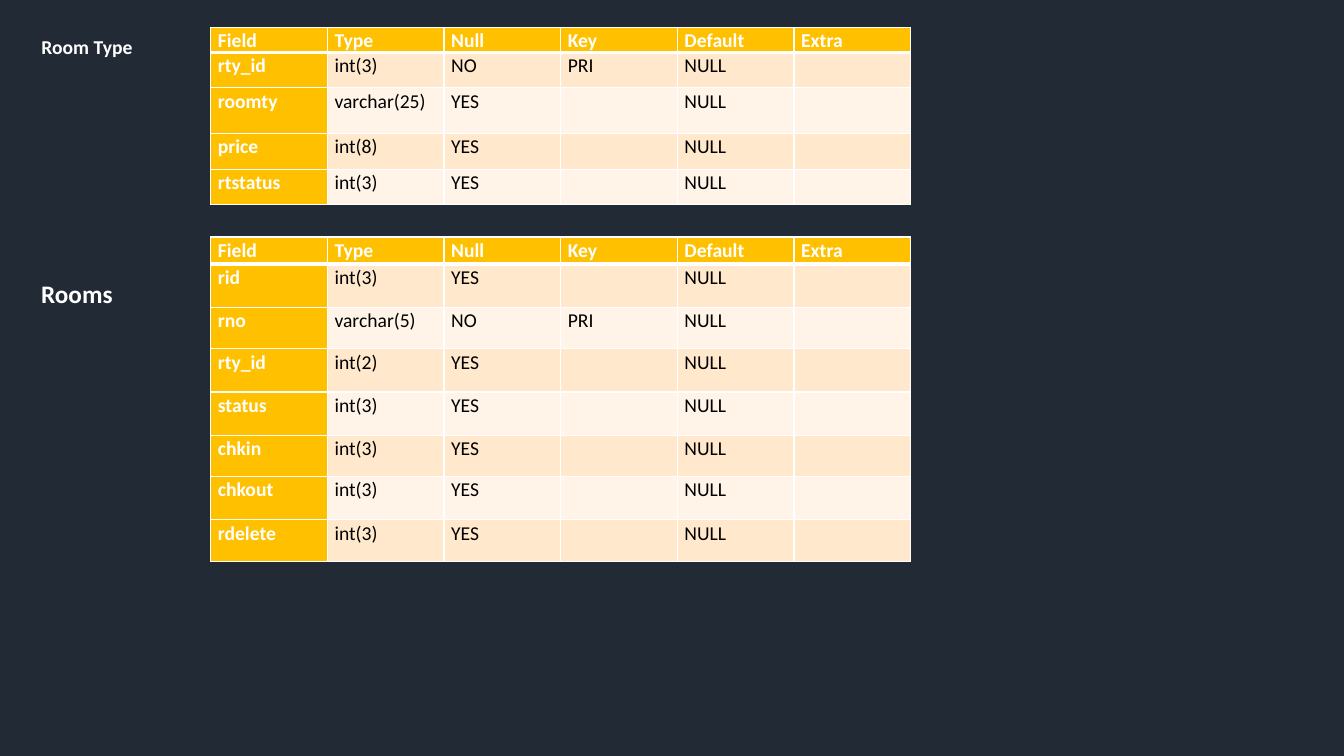
"""Build a slide describing the Room Type and Rooms database tables."""
from lxml.etree import SubElement
from pptx import Presentation
from pptx.dml.color import RGBColor
from pptx.enum.text import MSO_ANCHOR, MSO_AUTO_SIZE, PP_ALIGN
from pptx.oxml.ns import qn
from pptx.util import Cm, Pt

COLOURS = {
    "background": "222A35",
    "heading": "FFC000",
    "odd": "FFE8CC",
    "even": "FFF4E7",
    "light": "FFFFFF",
    "dark": "000000",
}
COLUMNS = ["Field", "Type", "Null", "Key", "Default", "Extra"]
COLUMN_WIDTH = 2.94
CELL_FORMAT = {
    "margin_left": Cm(0.18),
    "margin_right": Cm(0.18),
    "margin_top": 0,
    "margin_bottom": 0,
}
SCHEMAS = [
    {
        "top": 0.69,
        "heights": [0.56, 0.89, 1.14, 0.91, 0.89],
        "fields": [
            ("rty_id", "int(3)", "NO", "PRI"),
            ("roomty", "varchar(25)", "YES", ""),
            ("price", "int(8)", "YES", ""),
            ("rtstatus", "int(3)", "YES", ""),
        ],
    },
    {
        "top": 5.97,
        "heights": [0.69, 1.09, 1.04, 1.09, 1.09, 1.04, 1.09, 1.04],
        "fields": [
            ("rid", "int(3)", "YES", ""),
            ("rno", "varchar(5)", "NO", "PRI"),
            ("rty_id", "int(2)", "YES", ""),
            ("status", "int(3)", "YES", ""),
            ("chkin", "int(3)", "YES", ""),
            ("chkout", "int(3)", "YES", ""),
            ("rdelete", "int(3)", "YES", ""),
        ],
    },
]


def format_text(paragraph, colour, paragraph_format, **font_format):
    for name, value in paragraph_format.items():
        setattr(paragraph, name, value)
    for name, value in {"name": "Calibri", **font_format}.items():
        setattr(paragraph.font, name, value)
    paragraph.font.color.rgb = RGBColor.from_string(COLOURS[colour])


def add_borders(cell, widths):
    properties = cell._tc.get_or_add_tcPr()
    for side, width in widths.items():
        border = SubElement(properties, qn(f"a:ln{side}"), w=str(Pt(width)))
        fill = SubElement(border, qn("a:solidFill"))
        SubElement(fill, qn("a:srgbClr"), val=COLOURS["light"])


prs = Presentation()
prs.slide_width, prs.slide_height = Cm(33.87), Cm(19.05)
slide = prs.slides.add_slide(prs.slide_layouts[5])
slide.background.fill.solid()
slide.background.fill.fore_color.rgb = RGBColor.from_string(COLOURS["background"])

for schema in SCHEMAS:
    heights = schema["heights"]
    table = slide.shapes.add_table(
        len(heights), len(COLUMNS), Cm(5.31), Cm(schema["top"]),
        Cm(COLUMN_WIDTH * len(COLUMNS)), Cm(sum(heights)),
    ).table
    for column in table.columns:
        column.width = Cm(COLUMN_WIDTH)
    records = [COLUMNS] + [(*field, "NULL", "") for field in schema["fields"]]
    for row, (height, record) in enumerate(zip(heights, records)):
        table.rows[row].height = Cm(height)
        for column, value in enumerate(record):
            cell = table.cell(row, column)
            is_heading = row == 0 or column == 0
            for name, setting in CELL_FORMAT.items():
                setattr(cell, name, setting)
            add_borders(cell, {
                "L": 1, "R": 1,
                "T": 3 if row == 1 else 1,
                "B": 3 if row == 0 else 1,
            })
            band = "heading" if is_heading else "odd" if row % 2 else "even"
            cell.fill.solid()
            cell.fill.fore_color.rgb = RGBColor.from_string(COLOURS[band])
            cell.text = value
            format_text(
                cell.text_frame.paragraphs[0],
                "light" if is_heading else "dark",
                {"line_spacing": 1.07, "space_after": Pt(9 if row else 8)},
                size=Pt(14), bold=is_heading,
            )

room_type = slide.shapes.title
room_type.left, room_type.top = Cm(0.79), Cm(0.74)
room_type.width, room_type.height = Cm(6.86), Cm(0.86)
rooms = slide.shapes.add_textbox(Cm(0.79), Cm(6.83), Cm(3.66), Cm(1.04))
headings = [
    (room_type, "Room Type", 14, MSO_ANCHOR.MIDDLE, {"alignment": PP_ALIGN.LEFT}),
    (rooms, "Rooms", 18, MSO_ANCHOR.TOP, {"line_spacing": 1.07, "space_after": Pt(8)}),
]
for heading, wording, size, anchor, paragraph_format in headings:
    frame = heading.text_frame
    frame.text = wording
    frame.word_wrap = True
    frame.auto_size = MSO_AUTO_SIZE.SHAPE_TO_FIT_TEXT
    frame.vertical_anchor = anchor
    format_text(frame.paragraphs[0], "light", paragraph_format, size=Pt(size), bold=True)

prs.save("out.pptx")
